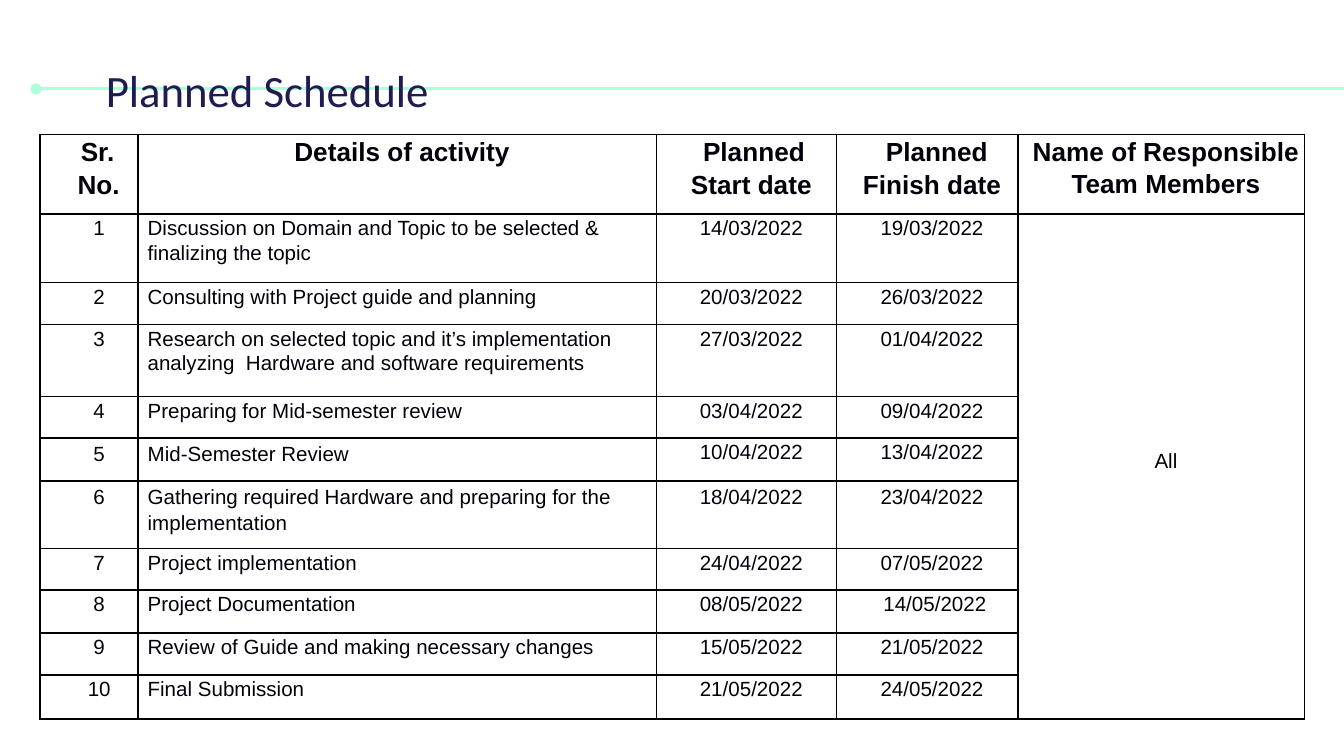
"""Build the planned schedule slide with its activity table."""
from lxml.etree import SubElement
from pptx import Presentation
from pptx.dml.color import RGBColor
from pptx.enum.shapes import MSO_CONNECTOR
from pptx.enum.text import MSO_ANCHOR, MSO_AUTO_SIZE, PP_ALIGN
from pptx.oxml.ns import qn
from pptx.util import Cm, Pt

WIDTHS = [1.85, 9.8, 3.4, 3.43, 5.41]
HEIGHTS = [1.49, 1.3, 0.79, 1.36, 0.79, 0.81, 1.27, 0.79, 0.81, 0.79, 0.84]
HEADER = [
    [(" Sr.", 0), ("No.", 0.18)],
    [("Details of activity", 0)],
    [("Planned", 0.1), ("Start date", 0)],
    [("Planned", 0.18), ("Finish date", 0)],
    [("Name of Responsible Team Members", 0)],
]
ACTIVITIES = [
    ("Discussion on Domain and Topic to be selected & finalizing the topic", "14/03/2022", "19/03/2022"),
    ("Consulting with Project guide and planning", "20/03/2022", "26/03/2022"),
    ("Research on selected topic and it’s implementation\nanalyzing  Hardware and software requirements",
     "27/03/2022", "01/04/2022"),
    ("Preparing for Mid-semester review", "03/04/2022", "09/04/2022"),
    ("Mid-Semester Review", "10/04/2022", "13/04/2022"),
    ("Gathering required Hardware and preparing for the implementation", "18/04/2022", "23/04/2022"),
    ("Project implementation", "24/04/2022", "07/05/2022"),
    ("Project Documentation", "08/05/2022", " 14/05/2022"),
    ("Review of Guide and making necessary changes", "15/05/2022", "21/05/2022"),
    ("Final Submission", "21/05/2022", "24/05/2022"),
]
LOOSE = {(5, 0), (5, 1), (6, 0), (6, 1), (6, 2), (6, 3)}


def rgb(value):
    """Turn a hex string into a colour."""
    return RGBColor.from_string(value)


def assign(obj, values):
    """Set every attribute named in a dict."""
    for name, value in values.items():
        setattr(obj, name, value)


class SlideBuilder:
    """Hold the style and the current slide."""

    ink, title_ink, accent = "00000A", "1F1C51", "ACFFD9"
    title_font = {"name": "Calibri", "size": Pt(24), "bold": False}
    head_font = {"name": "Arial", "size": Pt(14), "bold": True}
    body_font = {"name": "Arial", "size": Pt(11), "bold": False}
    margins = {"margin_left": Cm(0.18), "margin_top": Cm(0.03),
               "margin_right": Cm(0), "margin_bottom": Cm(0.25)}

    def __init__(self, prs):
        """Add a title-only slide."""
        self.s = prs.slides.add_slide(prs.slide_layouts[5])

    def title(self, text, x, y, w, h):
        """Place and format the title."""
        sp = self.s.shapes.title
        assign(sp, {"left": Cm(x), "top": Cm(y), "width": Cm(w), "height": Cm(h)})
        tf = sp.text_frame
        assign(tf, {"text": text, "word_wrap": True, "auto_size": MSO_AUTO_SIZE.NONE,
                    "vertical_anchor": MSO_ANCHOR.MIDDLE})
        assign(tf, {f"margin_{side}": Cm(0.25) for side in ("left", "top", "right", "bottom")})
        p = tf.paragraphs[0]
        p.alignment = PP_ALIGN.LEFT
        assign(p.runs[0].font, self.title_font)
        p.runs[0].font.color.rgb = rgb(self.title_ink)

    def rule(self, x1, x2, y):
        """Draw a line with a round start behind the title."""
        line = self.s.shapes.add_connector(MSO_CONNECTOR.STRAIGHT, Cm(x1), Cm(y), Cm(x2), Cm(y))
        line.line.color.rgb = rgb(self.accent)
        line.line.width = Pt(1.5)
        sp_pr = line.element.spPr
        SubElement(sp_pr.find(qn("a:ln")), qn("a:headEnd"), type="oval")
        SubElement(sp_pr, qn("a:effectLst"))
        self.s.shapes.title.element.addprevious(line.element)

    def table(self, x, y, widths, heights):
        """Add a bordered table without fills."""
        frame = self.s.shapes.add_table(len(heights), len(widths), Cm(x), Cm(y),
                                        Cm(sum(widths)), Cm(sum(heights)))
        tbl = frame.table
        assign(tbl, {"first_row": False, "horz_banding": False})
        for col, w in zip(tbl.columns, widths):
            col.width = Cm(w)
        for row, h in zip(tbl.rows, heights):
            row.height = Cm(h)
        for cell in tbl.iter_cells():
            assign(cell, self.margins)
            self.border(cell)
            cell.fill.background()
        return tbl

    def border(self, cell):
        """Draw all four borders of a cell."""
        tc_pr = cell._tc.get_or_add_tcPr()
        for side in "LRTB":
            ln = SubElement(tc_pr, qn(f"a:ln{side}"), w=str(Pt(1)))
            fill = SubElement(ln, qn("a:solidFill"))
            SubElement(fill, qn("a:srgbClr"), val="000000")

    def cell_text(self, cell, lines, font, align=PP_ALIGN.CENTER, spacing=1.07):
        """Fill a cell with lines of text and their indents."""
        tf = cell.text_frame
        for i, (text, indent) in enumerate(lines):
            p = tf.add_paragraph() if i else tf.paragraphs[0]
            assign(p, {"alignment": align, "line_spacing": spacing})
            if i and font is self.head_font:
                p.space_before = Pt(1)
            if indent:
                p._p.get_or_add_pPr().set("marL", str(Cm(indent)))
            r = p.add_run()
            r.text = text
            assign(r.font, font)
            r.font.color.rgb = rgb(self.ink)


def main():
    """Compose and save the slide."""
    prs = Presentation()
    assign(prs, {"slide_width": Cm(25.4), "slide_height": Cm(14.29)})
    b = SlideBuilder(prs)
    b.title("Planned Schedule", 1.75, 0.94, 16.89, 1.5)
    b.rule(0.68, 25.4, 1.68)
    tbl = b.table(0.76, 2.54, WIDTHS, HEIGHTS)
    for c, lines in enumerate(HEADER):
        b.cell_text(tbl.cell(0, c), lines, b.head_font)
    for n, activity in enumerate(ACTIVITIES, 1):
        for c, text in enumerate((str(n), *activity)):
            lines = [(line, 0 if c else 0.2) for line in text.split("\n")]
            align = PP_ALIGN.LEFT if c == 1 else PP_ALIGN.CENTER
            b.cell_text(tbl.cell(n, c), lines, b.body_font, align, 1.15 if (n, c) in LOOSE else 1.07)
    team = tbl.cell(1, 4)
    team.merge(tbl.cell(len(ACTIVITIES), 4))
    team.vertical_anchor = MSO_ANCHOR.MIDDLE
    b.cell_text(team, [("All", 0)], b.body_font)
    prs.save("out.pptx")


if __name__ == "__main__":
    main()
